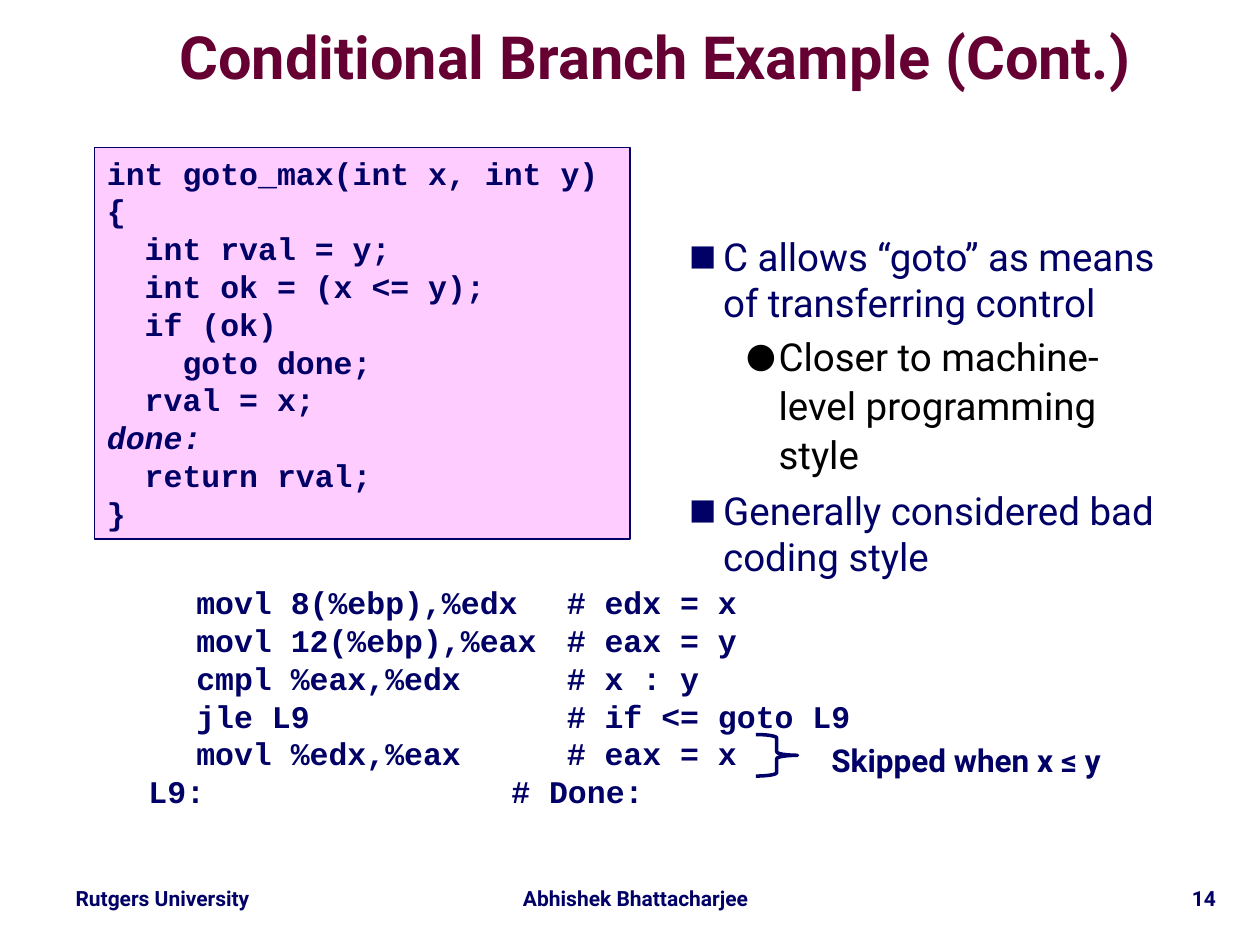
from lxml import etree
from pptx import Presentation
from pptx import util as u
from pptx.dml.color import RGBColor
from pptx.enum import shapes, text
from pptx.oxml import ns

Inches = u.Inches
THEME = {
    "navy": RGBColor.from_string("000066"),
    "maroon": RGBColor.from_string("660033"),
    "black": RGBColor.from_string("000000"),
    "pink": RGBColor.from_string("FFCCFF"),
    "sans": "Roboto", "mono": "Courier New",
    "title": 34, "body": 22, "code": 18, "footer": 12,
}
LEFT, CENTER, RIGHT = text.PP_ALIGN.LEFT, text.PP_ALIGN.CENTER, text.PP_ALIGN.RIGHT


def write(holder, lines, size, font="sans", color="navy", bold=True, align=LEFT,
          spacing=None, inset=(0.1, 0.05), anchor=text.MSO_ANCHOR.TOP, wrap=True):
    """Fill a shape with one paragraph per line and return the paragraphs."""
    frame = holder.text_frame
    frame.auto_size = text.MSO_AUTO_SIZE.NONE
    frame.word_wrap = wrap
    frame.vertical_anchor = anchor
    frame.margin_left = frame.margin_right = Inches(inset[0])
    frame.margin_top = frame.margin_bottom = Inches(inset[1])
    for number, line in enumerate(lines):
        paragraph = frame.paragraphs[0] if number == 0 else frame.add_paragraph()
        paragraph.alignment = align
        paragraph.space_before = u.Pt(0)
        if spacing:
            paragraph.line_spacing = spacing
        run = paragraph.add_run()
        run.text = line
        run.font.size = u.Pt(THEME[size])
        run.font.name = THEME[font]
        run.font.bold = bold
        run.font.color.rgb = THEME[color]
    return frame.paragraphs


def add_format(parent, tag, **attributes):
    return etree.SubElement(parent, ns.qn(tag), attributes)


deck = Presentation()
deck.slide_width, deck.slide_height = Inches(10), Inches(7.5)
slide = deck.slides.add_slide(deck.slide_layouts[1])

# Title
title = slide.shapes.title
title.left, title.top, title.width, title.height = map(Inches, (0.65, 0.17, 9.1, 0.63))
write(title, ["Conditional Branch Example (Cont.)"], "title", color="maroon",
      align=CENTER, spacing=0.87, inset=(0, 0), anchor=text.MSO_ANCHOR.MIDDLE)

# Footer
for words, left, width, align in [
    ("Rutgers University", 0.33, 1.92, CENTER),
    ("Abhishek Bhattacharjee", 3.92, 2.25, CENTER),
    ("14", 8.17, 1.58, RIGHT),
]:
    footer = slide.shapes.add_textbox(Inches(left), Inches(7), Inches(width), Inches(0.28))
    write(footer, [words], "footer", align=align, spacing=0.9)

# Assembly listing
assembly = slide.shapes.add_textbox(Inches(1.08), Inches(4.58), Inches(6.67), Inches(1.9))
instructions = [
    "\tmovl 8(%ebp),%edx\t# edx = x",
    "\tmovl 12(%ebp),%eax\t# eax = y",
    "\tcmpl %eax,%edx\t\t# x : y",
    "\tjle L9\t\t# if <= goto L9",
    "\tmovl %edx,%eax\t\t# eax = x",
    "L9:\t# Done:",
]
for paragraph in write(assembly, instructions, "code", font="mono"):
    tabs = add_format(paragraph._p.get_or_add_pPr(), "a:tabLst")
    for stop in (0.38, 2.88, 3.32):
        add_format(tabs, "a:tab", pos=str(Inches(stop)), algn="l")

# C code
c_code = slide.shapes.add_shape(shapes.MSO_SHAPE.RECTANGLE, Inches(0.75), Inches(1.17),
                                Inches(4.25), Inches(3.11))
c_code.shadow.inherit = False
c_code.fill.solid()
c_code.fill.fore_color.rgb = THEME["pink"]
c_code.line.color.rgb = THEME["navy"]
c_code.line.width = u.Pt(1)
statements = [
    "int goto_max(int x, int y)",
    "{",
    "  int rval = y;",
    "  int ok = (x <= y);",
    "  if (ok)",
    "    goto done;",
    "  rval = x;",
    "done:",
    "  return rval;",
    "}",
]
for paragraph in write(c_code, statements, "code", font="mono"):
    if paragraph.text == "done:":
        paragraph.runs[0].font.italic = True

# Note on the skipped instruction
brace = slide.shapes.add_shape(shapes.MSO_SHAPE.RIGHT_BRACE, Inches(6), Inches(5.83),
                               Inches(0.33), Inches(0.33))
brace.shadow.inherit = False
brace.adjustments[0] = 0.083
brace.fill.background()
brace.line.color.rgb = THEME["navy"]
brace.line.width = u.Pt(2)
skipped = slide.shapes.add_textbox(Inches(6.5), Inches(5.83), Inches(2.51), Inches(0.4))
write(skipped, ["Skipped when x ≤ y"], "code", wrap=False)

# Remarks on goto
remarks = slide.placeholders[1]
remarks.left, remarks.top, remarks.width, remarks.height = map(Inches, (4.83, 1.8, 4.57, 2.82))
points = [
    ("C allows “goto” as means of transferring control", 0),
    ("Closer to machine-level programming style", 1),
    ("Generally considered bad coding style", 0),
]
levels = [
    {"margin": 0.81, "hang": 0.27, "mark": "■", "scale": 75, "before": 5.5,
     "spacing": 1.0, "color": "navy"},
    {"margin": 1.25, "hang": 0.26, "mark": "●", "scale": 90, "before": 2.2,
     "spacing": 1.07, "color": "black"},
]
paragraphs = write(remarks, [words for words, _ in points], "body", bold=False)
for number, (paragraph, (_, level)) in enumerate(zip(paragraphs, points)):
    look = levels[level]
    paragraph.level = level
    paragraph.line_spacing = look["spacing"]
    paragraph.space_before = u.Pt(look["before"] if number else 0)
    paragraph.runs[0].font.color.rgb = THEME[look["color"]]
    properties = paragraph._p.get_or_add_pPr()
    properties.set("marL", str(Inches(look["margin"])))
    properties.set("indent", str(-Inches(look["hang"])))
    add_format(properties, "a:buSzPct", val=str(look["scale"] * 1000))
    add_format(properties, "a:buFont", typeface=THEME["sans"])
    add_format(properties, "a:buChar", char=look["mark"])

deck.save("out.pptx")
